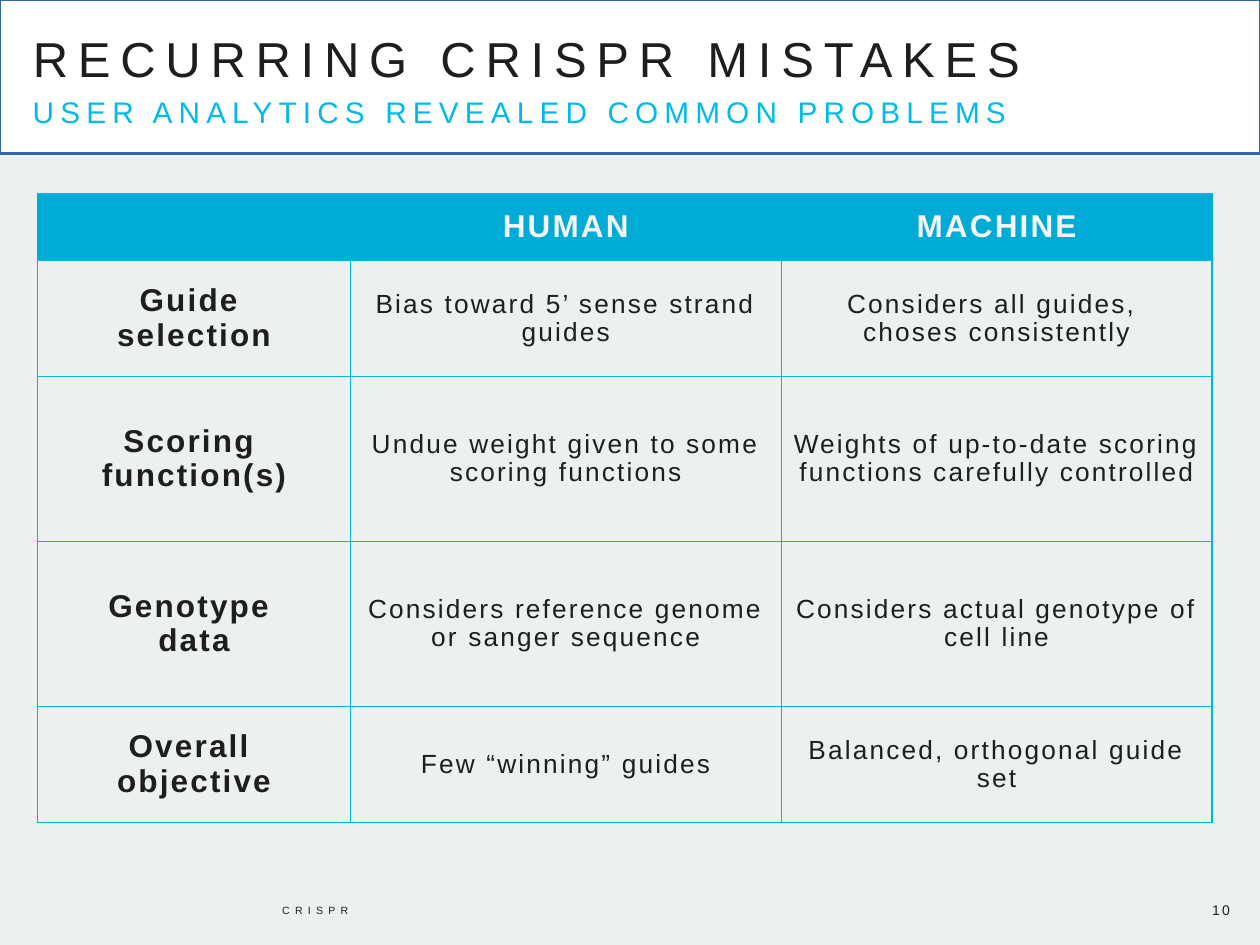
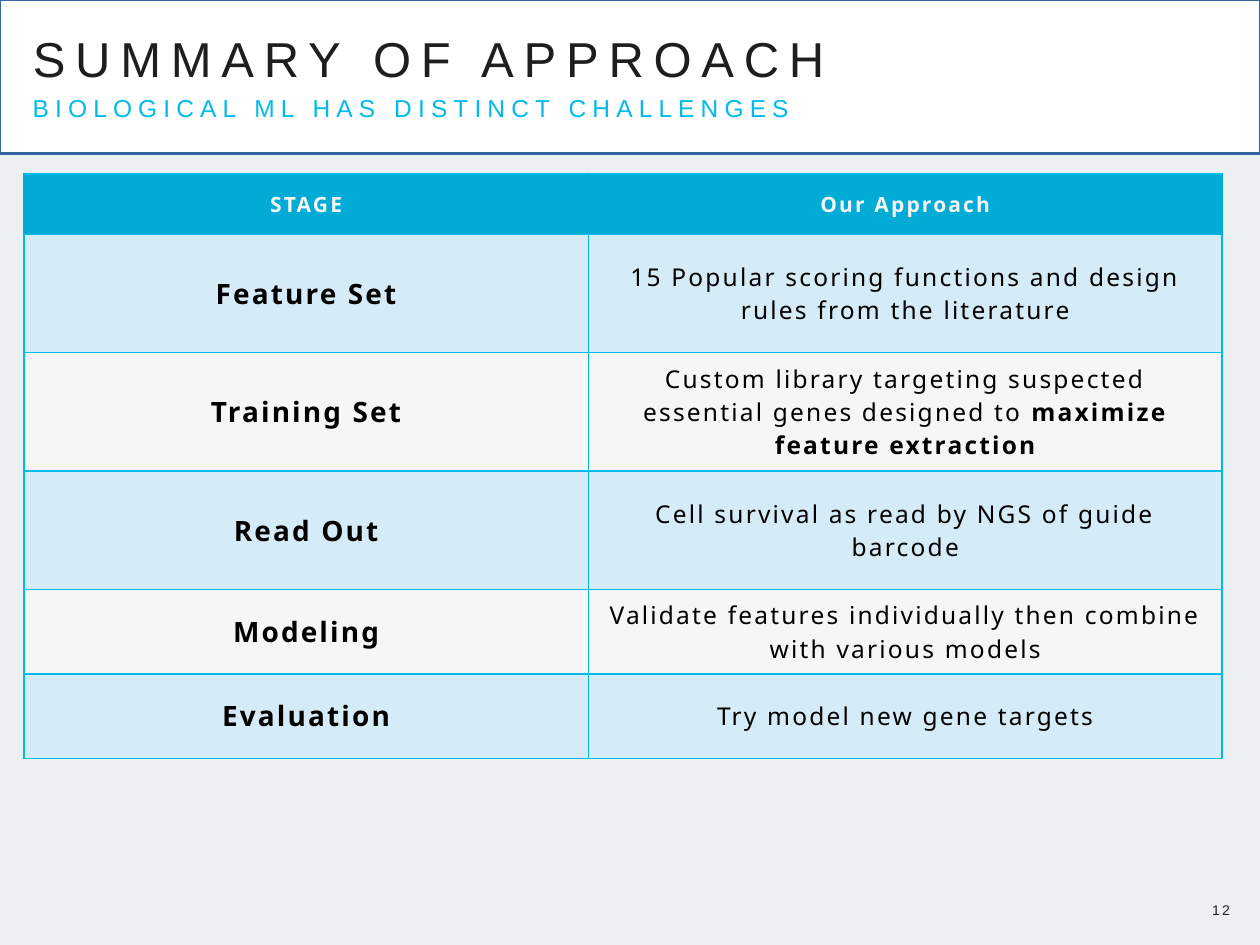
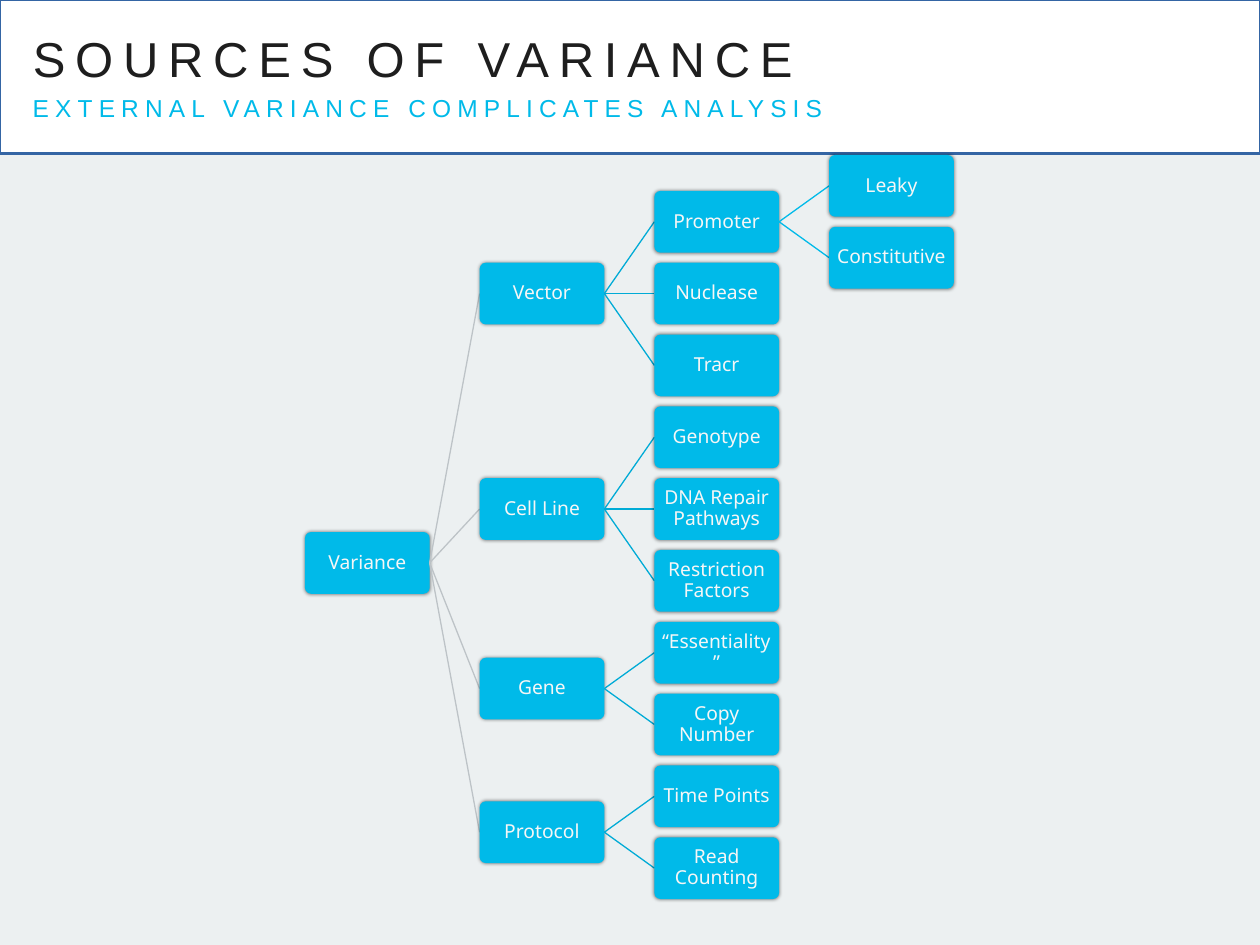
"""Build three slides on CRISPR guide design: two tables and a variance tree."""
import dataclasses
import itertools

import pptx
import pptx.dml.color
import pptx.enum.shapes
import pptx.enum.text
import pptx.oxml
import pptx.oxml.ns
import pptx.util

Inches = pptx.util.Inches
Pt = pptx.util.Pt
ALIGN = pptx.enum.text.PP_ALIGN
ANCHOR = pptx.enum.text.MSO_ANCHOR
SHAPE = pptx.enum.shapes.MSO_SHAPE


@dataclasses.dataclass(frozen=True)
class Theme:
    """Colours, fonts and type sizes shared by the slides."""
    page: str = "ECF0F1"
    band: str = "FFFFFF"
    band_line: str = "3465A4"
    ink: str = "1E1E1E"
    black: str = "000000"
    light: str = "F6F6F6"
    accent: str = "00BAE9"
    grid: str = "00B6E4"
    header: str = "00ABD6"
    stripe: str = "D6EBF8"
    branch: str = "BDC3C7"
    sans: str = "Arial"
    noto: str = "Noto Sans"
    title: float = 28
    footer: float = 6
    number: float = 8
    node: float = 11
    title_spacing: float = 5.6
    subtitle_spacing: float = 3.5
    footer_spacing: float = 3
    body_spacing: float = 1.25


THEME = Theme()

MISTAKES = {
    "title": "RECURRING CRISPR MISTAKES",
    "subtitle": ("USER ANALYTICS REVEALED COMMON PROBLEMS", 17),
    "footer": "CRISPR",
    "number": "10",
    "table": {
        "at": (0.3, 1.54),
        "columns": (2.48, 3.42, 3.42),
        "heights": (0.53, 0.92, 1.31, 1.31, 0.92),
        "font": THEME.sans, "ink": THEME.ink, "line_spacing": 0.97,
        "sizes": {"header": 18, "label": 18, "body": 15},
        "fills": (None,), "grid": (THEME.grid, 0.75),
        "rows": [
            ("", "HUMAN", "MACHINE"),
            ("Guide \nselection", "Bias toward 5’ sense strand guides",
             "Considers all guides, \vchoses consistently"),
            ("Scoring \nfunction(s)", "Undue weight given to some scoring functions",
             "Weights of up-to-date scoring functions carefully controlled"),
            ("Genotype \ndata", "Considers reference genome or sanger sequence",
             "Considers actual genotype of cell line"),
            ("Overall \nobjective", "Few “winning” guides",
             "Balanced, orthogonal guide set"),
        ],
    },
}

APPROACH = {
    "title": "SUMMARY OF APPROACH",
    "subtitle": ("BIOLOGICAL ML HAS DISTINCT CHALLENGES", 14),
    "number": "12",
    "table": {
        "at": (0.19, 1.38),
        "columns": (4.48, 5.03),
        "heights": (0.48, 0.94, 0.94, 0.94, 0.67, 0.67),
        "font": THEME.noto, "ink": THEME.black, "line_spacing": 1.0,
        "sizes": {"header": 12, "label": 16, "body": 14},
        "fills": (THEME.stripe, THEME.light), "grid": (THEME.accent, 1),
        "rows": [
            ("STAGE", "Our Approach"),
            ("Feature Set",
             "15 Popular scoring functions and design rules from the literature"),
            ("Training Set", "Custom library targeting suspected essential genes "
             "designed to **maximize feature extraction"),
            ("Read Out", "Cell survival as read by NGS of guide barcode"),
            ("Modeling", "Validate features individually then combine with various models"),
            ("Evaluation", "Try model new gene targets"),
        ],
    },
}

VARIANCE = {
    "title": "SOURCES OF VARIANCE",
    "subtitle": ("EXTERNAL VARIANCE COMPLICATES ANALYSIS", 14),
    "tree": ("Variance", [
        ("Vector", [
            ("Promoter", [("Leaky", []), ("Constitutive", [])]),
            ("Nuclease", []),
            ("Tracr", []),
        ]),
        ("Cell Line", [
            ("Genotype", []),
            ("DNA Repair Pathways", []),
            ("Restriction Factors", []),
        ]),
        ("Gene", [("“Essentiality”", []), ("Copy Number", [])]),
        ("Protocol", [("Time Points", []), ("Read Counting", [])]),
    ]),
}

NODE_WIDTH, NODE_HEIGHT = 0.99, 0.49
TREE_LEFT, LEVEL_STEP = 2.42, 4.16 / 3
FIRST_CENTRE, ROW_STEP = 1.76, 0.57
GRID_LEVEL = 2
BRANCH_COLORS = (THEME.branch, THEME.header, THEME.accent)


def rgb(color):
    return pptx.dml.color.RGBColor.from_string(color)


def add_run(paragraph, text, size, color, font=THEME.sans, bold=False, spacing=0):
    run = paragraph.add_run()
    run.text = text
    run.font.size = Pt(size)
    run.font.name = font
    run.font.bold = bold
    run.font.color.rgb = rgb(color)
    if spacing:
        run.font._element.set("spc", str(round(spacing * 100)))


def set_insets(frame, left, top, right, bottom):
    frame.margin_left, frame.margin_top = Inches(left), Inches(top)
    frame.margin_right, frame.margin_bottom = Inches(right), Inches(bottom)


def write_heading(shape, box, text, size, color, spacing):
    shape.left, shape.top, shape.width, shape.height = map(Inches, box)
    frame = shape.text_frame
    frame.word_wrap = True
    frame.auto_size = pptx.enum.text.MSO_AUTO_SIZE.NONE
    frame.vertical_anchor = ANCHOR.TOP
    set_insets(frame, 0.07, 0.04 + size / 720, 0.07, 0)
    frame.paragraphs[0].alignment = ALIGN.LEFT
    add_run(frame.paragraphs[0], text, size, color, spacing=spacing)


def add_box(slide):
    return slide.shapes.add_textbox(0, 0, 0, 0)


def start_slide(deck, content):
    slide = deck.slides.add_slide(deck.slide_layouts[5])
    title = slide.shapes.title
    band = slide.shapes.add_shape(SHAPE.RECTANGLE, 0, 0, Inches(10), Inches(1.22))
    band.shadow.inherit = False
    band.fill.solid()
    band.fill.fore_color.rgb = rgb(THEME.band)
    band.line.color.rgb = rgb(THEME.band_line)
    band.line.width = Pt(1.5)
    title.element.addprevious(band.element)
    write_heading(title, (0.19, 0.15, 8.6, 0.53), content["title"],
                  THEME.title, THEME.ink, THEME.title_spacing)
    subtitle, size = content["subtitle"]
    write_heading(add_box(slide), (0.19, 0.68, 9.47, 0.48), subtitle,
                  size, THEME.accent, THEME.subtitle_spacing)
    if "footer" in content:
        write_heading(add_box(slide), (2.17, 7.13, 3.97, 0.17), content["footer"],
                      THEME.footer, THEME.ink, THEME.footer_spacing)
    if "number" in content:
        number = slide.shapes.add_textbox(Inches(9.62), Inches(7.16), Inches(0.2), Inches(0.13))
        frame = number.text_frame
        frame.word_wrap = True
        frame.vertical_anchor = ANCHOR.MIDDLE
        set_insets(frame, 0, 0, 0, 0)
        add_run(frame.paragraphs[0], content["number"], THEME.number, THEME.ink,
                spacing=THEME.body_spacing)
    return slide


def set_borders(cell, borders):
    properties = cell._tc.get_or_add_tcPr()
    for position, (side, (color, width)) in enumerate(borders.items()):
        properties.insert(position, pptx.oxml.parse_xml(
            f'<a:{side} {pptx.oxml.ns.nsdecls("a")} w="{Pt(width)}"><a:solidFill>'
            f'<a:srgbClr val="{color}"/></a:solidFill></a:{side}>'))


def write_cell(cell, text, size, color, bold, spec_table):
    frame = cell.text_frame
    cell.vertical_anchor = ANCHOR.MIDDLE
    for index, line in enumerate(text.split("\n")):
        paragraph = frame.add_paragraph() if index else frame.paragraphs[0]
        paragraph.alignment = ALIGN.CENTER
        paragraph.line_spacing = spec_table["line_spacing"]
        for part_index, part in enumerate(line.split("\v")):
            if part_index:
                paragraph.add_line_break()
            for run_index, piece in enumerate(part.split("**")):
                if piece:
                    add_run(paragraph, piece, size, color, spec_table["font"],
                            bold or run_index % 2 == 1, THEME.body_spacing)


def add_comparison(slide, content):
    rows, columns, heights = content["rows"], content["columns"], content["heights"]
    left, top = content["at"]
    table = slide.shapes.add_table(
        len(rows), len(columns), Inches(left), Inches(top),
        Inches(sum(columns)), Inches(sum(heights))).table
    table.horz_banding = False
    for column, width in zip(table.columns, columns):
        column.width = Inches(width)
    for row, height in zip(table.rows, heights):
        row.height = Inches(height)
    grid, header_edge = content["grid"], (THEME.header, 0.75)
    fills = itertools.cycle(content["fills"])
    for row_index, texts in enumerate(rows):
        is_header = row_index == 0
        fill = THEME.header if is_header else next(fills)
        edge = header_edge if is_header else grid
        for column_index, text in enumerate(texts):
            cell = table.cell(row_index, column_index)
            kind = "header" if is_header else "body" if column_index else "label"
            if fill:
                cell.fill.solid()
                cell.fill.fore_color.rgb = rgb(fill)
            else:
                cell.fill.background()
            set_borders(cell, {"lnL": edge, "lnR": edge, "lnT": grid, "lnB": grid})
            write_cell(cell, text, content["sizes"][kind],
                       THEME.light if is_header else content["ink"],
                       kind != "body", content)


def place_nodes(node, level, grid_rows, centre=None):
    """Return (name, level, centre, children), with parents centred on their children."""
    name, children = node
    if level == GRID_LEVEL:
        centre = FIRST_CENTRE + ROW_STEP * next(grid_rows)
    first = (centre or 0) - ROW_STEP * (len(children) - 1) / 2
    placed = [place_nodes(child, level + 1, grid_rows, first + ROW_STEP * index)
              for index, child in enumerate(children)]
    if level < GRID_LEVEL:
        centre = (placed[0][2] + placed[-1][2]) / 2
    return name, level, centre, placed


def add_node(slide, name, left, centre):
    node = slide.shapes.add_shape(
        SHAPE.ROUNDED_RECTANGLE, Inches(left), Inches(centre - NODE_HEIGHT / 2),
        Inches(NODE_WIDTH), Inches(NODE_HEIGHT))
    node.adjustments[0] = 0.1
    node.fill.solid()
    node.fill.fore_color.rgb = rgb(THEME.accent)
    node.line.fill.background()
    node.shadow.inherit = False
    effects = node.element.spPr.find(pptx.oxml.ns.qn("a:effectLst"))
    effects.append(pptx.oxml.parse_xml(
        f'<a:outerShdw {pptx.oxml.ns.nsdecls("a")} blurRad="{Pt(2)}" dist="0" dir="0">'
        f'<a:srgbClr val="{THEME.black}"><a:alpha val="50000"/></a:srgbClr></a:outerShdw>'))
    frame = node.text_frame
    frame.word_wrap = True
    frame.vertical_anchor = ANCHOR.MIDDLE
    set_insets(frame, 0.02, 0.02, 0.02, 0.02)
    paragraph = frame.paragraphs[0]
    paragraph.alignment = ALIGN.CENTER
    paragraph.line_spacing = 0.9
    add_run(paragraph, name, THEME.node, THEME.light, THEME.noto)


def add_branch(slide, start, end, color):
    branch = slide.shapes.add_connector(
        pptx.enum.shapes.MSO_CONNECTOR.STRAIGHT, *map(Inches, start + end))
    branch.line.color.rgb = rgb(color)
    branch.line.width = Pt(0.75)
    branch.element.spPr.append(pptx.oxml.parse_xml(
        f'<a:effectLst {pptx.oxml.ns.nsdecls("a")}/>'))


def draw_tree(slide, placed):
    name, level, centre, children = placed
    left = TREE_LEFT + LEVEL_STEP * level
    add_node(slide, name, left, centre)
    for child in children:
        add_branch(slide, (left + NODE_WIDTH, centre), (left + LEVEL_STEP, child[2]),
                   BRANCH_COLORS[level])
        draw_tree(slide, child)


def main():
    deck = pptx.Presentation()
    deck.slide_width, deck.slide_height = Inches(10), Inches(7.5)
    background = deck.slide_master.background.fill
    background.solid()
    background.fore_color.rgb = rgb(THEME.page)
    for content in (MISTAKES, APPROACH, VARIANCE):
        slide = start_slide(deck, content)
        if "table" in content:
            add_comparison(slide, content["table"])
        if "tree" in content:
            draw_tree(slide, place_nodes(content["tree"], 0, itertools.count()))
    deck.save("out.pptx")


if __name__ == "__main__":
    main()
